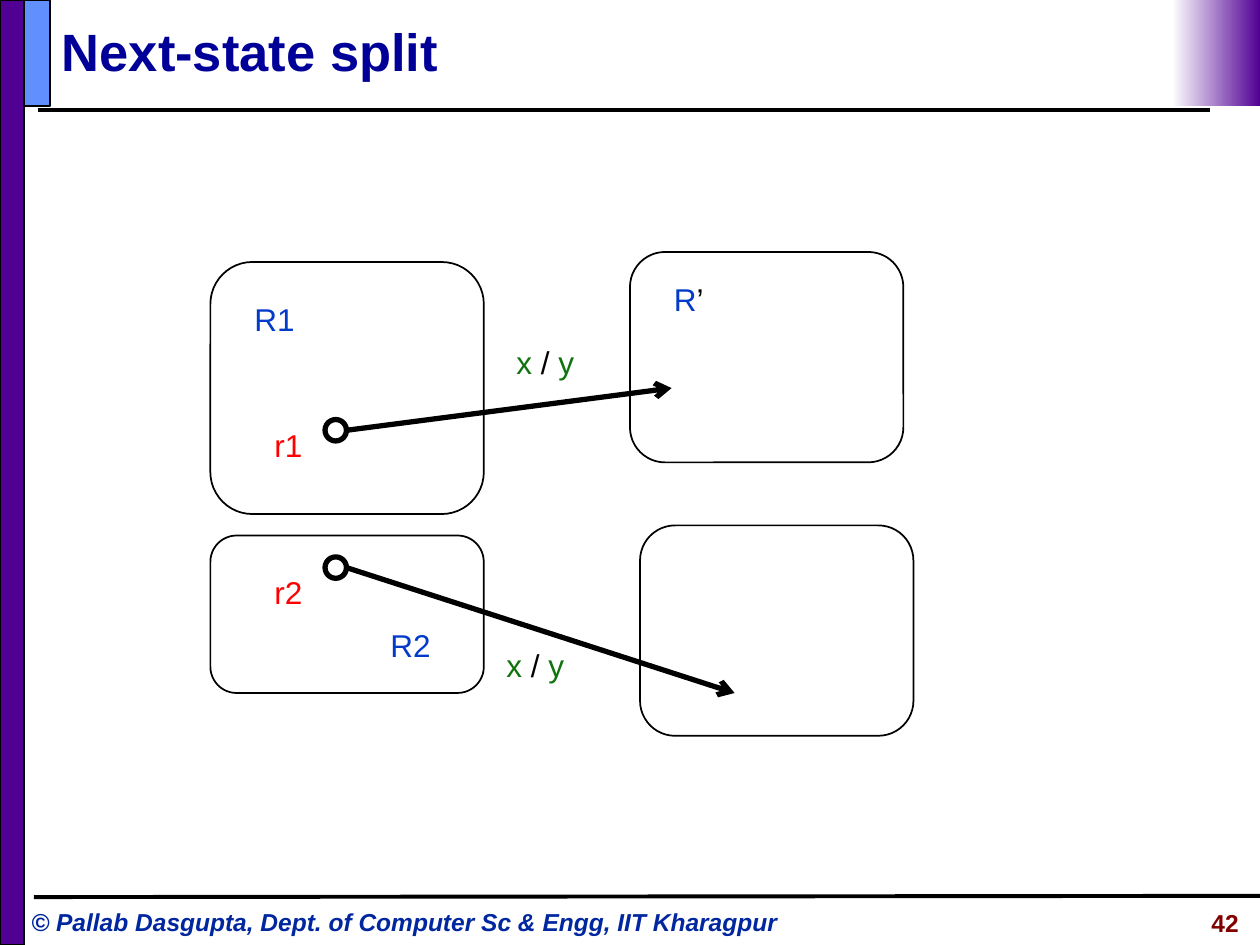
from pptx import Presentation
from pptx.dml.color import RGBColor
from pptx.enum.shapes import MSO_CONNECTOR, MSO_SHAPE
from pptx.enum.text import MSO_ANCHOR, PP_ALIGN
from pptx.oxml.ns import qn
from pptx.util import Inches, Pt
from lxml.etree import SubElement

BLACK = RGBColor(0x00, 0x00, 0x00)
WHITE = RGBColor(0xFF, 0xFF, 0xFF)
PURPLE = RGBColor(0x50, 0x00, 0x93)
SKY = RGBColor(0x61, 0x8F, 0xFD)
NAVY = RGBColor(0x00, 0x00, 0x99)
FOOTER_BLUE = RGBColor(0x00, 0x27, 0x9F)
MAROON = RGBColor(0x80, 0x00, 0x00)
REGION_BLUE = RGBColor(0x02, 0x3B, 0xCA)
STATE_RED = RGBColor(0xFF, 0x00, 0x00)
SIGNAL_GREEN = RGBColor(0x10, 0x74, 0x0E)

FONT = "Arial"
LABEL_HEIGHT = 0.4
STATE_SIZE = 0.17


def add_run(paragraph, text, size, color, bold=False, italic=False):
    run = paragraph.add_run()
    run.text = text
    font = run.font
    font.name, font.size, font.color.rgb = FONT, Pt(size), color
    font.bold, font.italic = bold, italic


def add_text(slide, box, runs, size, align=PP_ALIGN.LEFT, **style):
    """Add a one-line text box; runs are (text, color) pairs."""
    frame = slide.shapes.add_textbox(*map(Inches, box)).text_frame
    frame.word_wrap = True
    paragraph = frame.paragraphs[0]
    paragraph.alignment = align
    for text, color in runs:
        add_run(paragraph, text, size, color, **style)


def add_outline(slide, kind, box, width=1, fill=None):
    shape = slide.shapes.add_shape(kind, *map(Inches, box))
    shape.shadow.inherit = False
    if fill is None:
        shape.fill.background()
    else:
        shape.fill.solid()
        shape.fill.fore_color.rgb = fill
    shape.line.color.rgb = BLACK
    shape.line.width = Pt(width)
    return shape


def add_line(slide, start, end, width, arrow=False):
    line = slide.shapes.add_connector(
        MSO_CONNECTOR.STRAIGHT, *map(Inches, (*start, *end)))
    line.line.color.rgb = BLACK
    line.line.width = Pt(width)
    if arrow:
        SubElement(line.line._get_or_add_ln(), qn("a:tailEnd"), type="arrow")
    SubElement(line._element.spPr, qn("a:effectLst"))


def add_frame(slide, width, height):
    """Add the side bar, corner blocks and the two rules."""
    bar_width, header_height, fade_width = 0.19, 0.84, 0.7
    add_line(slide, (0.3, 0.87), (9.6, 0.87), 2.25)
    add_outline(slide, MSO_SHAPE.RECTANGLE, (0, 0, bar_width, height), fill=PURPLE)
    add_line(slide, (0.27, 7.12), (width, 7.11), 2.25)
    add_outline(slide, MSO_SHAPE.RECTANGLE,
                (bar_width, 0, 0.21, header_height), fill=SKY)
    fade = add_outline(slide, MSO_SHAPE.RECTANGLE,
                       (width - fade_width, 0, fade_width, header_height))
    fade.line.fill.background()
    fade.fill.gradient()
    fade.fill.gradient_angle = 180
    for stop, color in zip(fade.fill.gradient_stops, (PURPLE, WHITE)):
        stop.color.rgb = color


def add_title(slide, box, text):
    title = slide.shapes.title
    title.left, title.top, title.width, title.height = map(Inches, box)
    frame = title.text_frame
    frame.vertical_anchor = MSO_ANCHOR.MIDDLE
    paragraph = frame.paragraphs[0]
    paragraph.alignment = PP_ALIGN.LEFT
    add_run(paragraph, text, 30, NAVY, bold=True)


def add_footer(slide, credit_box, number_box):
    credit = "© Pallab Dasgupta, Dept. of Computer Sc & Engg, IIT Kharagpur"
    add_text(slide, credit_box, [(credit, FOOTER_BLUE)], 14, bold=True, italic=True)
    add_text(slide, number_box, [("42", MAROON)], 14, PP_ALIGN.RIGHT, bold=True)


def add_label(slide, left, top, width, *runs):
    add_text(slide, (left, top, width, LABEL_HEIGHT), runs, 18)


def add_region(slide, box, label_offset=None, *runs):
    """Add a rounded region with its label placed relative to the box."""
    add_outline(slide, MSO_SHAPE.ROUNDED_RECTANGLE, box)
    if runs:
        add_label(slide, box[0] + label_offset[0], box[1] + label_offset[1],
                  0.75, *runs)


def add_transition(slide, state, name, name_top, target, signal_at):
    """Add a state circle, its name, and the labelled arrow leaving it."""
    left, top = state
    add_outline(slide, MSO_SHAPE.OVAL, (left, top, STATE_SIZE, STATE_SIZE), 3)
    add_label(slide, left - 0.5, name_top, 0.58, (name, STATE_RED))
    add_line(slide, (left + STATE_SIZE, top + STATE_SIZE / 2), target, 3, arrow=True)
    add_label(slide, *signal_at, 1,
              ("x", SIGNAL_GREEN), (" / ", BLACK), ("y", SIGNAL_GREEN))


def add_split_diagram(slide, left, top):
    """Add the four regions and two transitions from the given corner."""
    width, target_height = 2.17, 1.67
    add_region(slide, (left + 3.33, top - 0.08, width, target_height),
               (0.25, 0.17), ("R", REGION_BLUE), ("’", BLACK))
    add_region(slide, (left + 3.41, top + 2.09, width, target_height))
    add_region(slide, (left, top, width, 2), (0.25, 0.25), ("R1", REGION_BLUE))
    add_region(slide, (left, top + 2.17, width, 1.25),
               (1.33, 0.67), ("R2", REGION_BLUE))

    state_left = left + 0.91
    add_transition(slide, (state_left, top + 1.25), "r1", top + 1.25,
                   (left + 3.66, top + 1), (left + 2.33, top + 0.59))
    add_transition(slide, (state_left, top + 2.34), "r2", top + 2.42,
                   (left + 4.16, top + 3.42), (left + 2.25, top + 3))


def main():
    width, height = 10, 7.5
    presentation = Presentation()
    presentation.slide_width = Inches(width)
    presentation.slide_height = Inches(height)
    slide = presentation.slides.add_slide(presentation.slide_layouts[5])
    add_frame(slide, width, height)
    add_title(slide, (0.39, 0.1, 9.1, 0.61), "Next-state split")
    add_split_diagram(slide, 1.67, 2.08)
    add_footer(slide, (0.15, 7.15, 6.37, 0.34), (8.18, 7.16, 1.75, 0.35))
    presentation.save("out.pptx")


if __name__ == "__main__":
    main()
